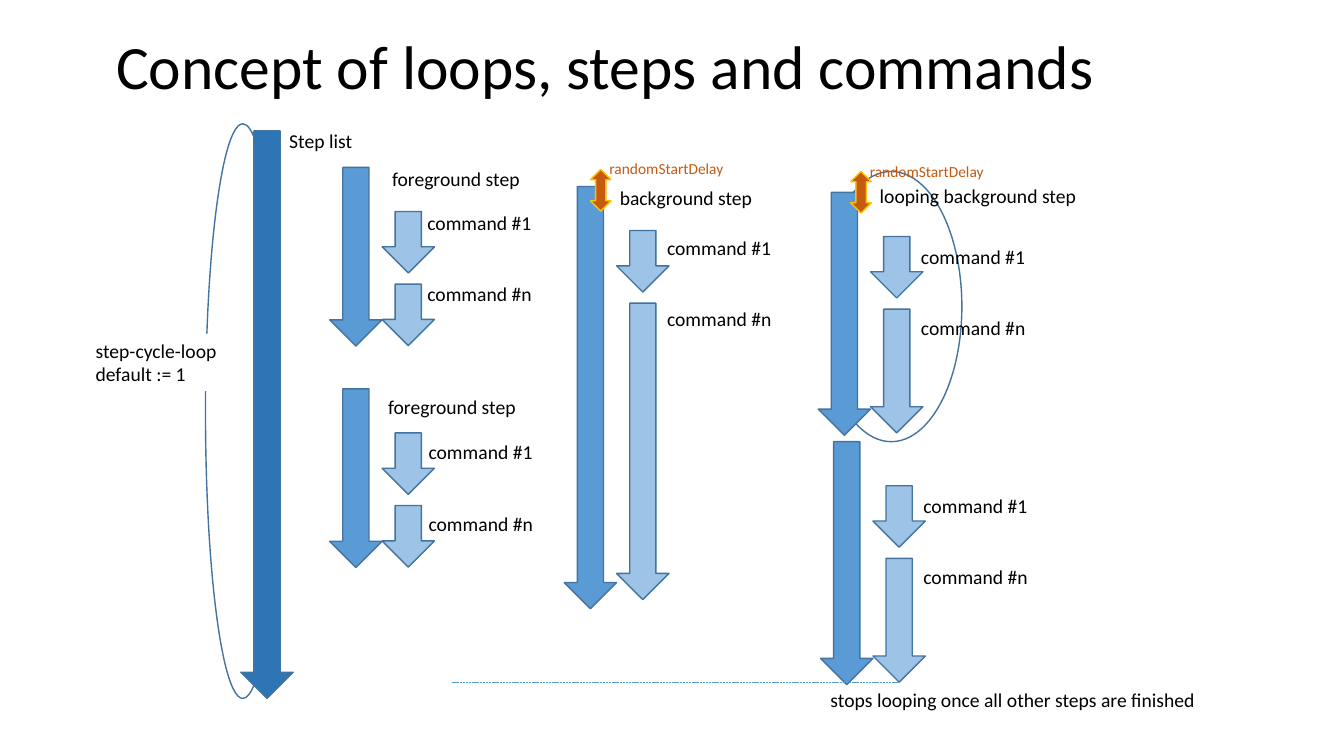
from lxml import etree
from pptx import Presentation
from pptx import util as u
from pptx.dml.color import RGBColor
from pptx.enum import dml, shapes, text
from pptx.oxml import ns

FONT = "Calibri"
BLACK, WHITE = "000000", "FFFFFF"
DARK, BLUE, PALE, EDGE = "2E75B6", "5B9BD5", "9DC3E6", "43739E"
RUST, GOLD = "C55A11", "FFC000"
WIDE = 1.32  # arrow width in cm
KIND = shapes.MSO_SHAPE


def color(code):
    return RGBColor.from_string(code)


def box(x, y, w, h):
    return u.Cm(x), u.Cm(y), u.Cm(w), u.Cm(h)


def style(frame, size, ink):
    for para in frame.paragraphs:
        para.alignment = text.PP_ALIGN.LEFT
        for run in para.runs:
            run.font.name = FONT
            run.font.size = u.Pt(size)
            run.font.color.rgb = color(ink)


def shape(slide, kind, place, fill=None, edge=EDGE):
    item = slide.shapes.add_shape(kind, *box(*place))
    item.shadow.inherit = False
    if fill:
        item.fill.solid()
        item.fill.fore_color.rgb = color(fill)
    else:
        item.fill.background()
    item.line.color.rgb = color(edge)
    item.line.width = u.Pt(1)
    return item


def arrow(slide, x, y, h, fill):
    shape(slide, KIND.DOWN_ARROW, (x, y, WIDE, h), fill)


def loop(slide, place, start, end, turn=0):
    """Draw an open arc; its straight side lies behind an arrow."""
    arc = shape(slide, KIND.CHORD, place)
    arc.adjustments[0] = start
    arc.adjustments[1] = end
    arc.rotation = turn


def label(slide, words, x, y, w, h=0.86, size=14, ink=BLACK, wrap=False):
    item = slide.shapes.add_textbox(*box(x, y, w, h))
    frame = item.text_frame
    frame.text = words
    frame.word_wrap = wrap
    frame.auto_size = text.MSO_AUTO_SIZE.SHAPE_TO_FIT_TEXT
    style(frame, size, ink)
    return item


def step(slide, x, y, high, last, dx, dy):
    """Draw a step with its two commands; dx and dy place the command labels."""
    arrow(slide, x, y, high, BLUE)
    rows = (("command #1", 1.11, 1.55, 0), ("command #n", 2.94, last, 1.8))
    for words, drop, h, gap in rows:
        arrow(slide, x + WIDE, y + drop, h, PALE)
        label(slide, words, x + dx, y + dy + gap, 3.16)


def delay(slide, x, y, top):
    shape(slide, KIND.UP_DOWN_ARROW, (x, y, 0.52, 1.05), RUST, GOLD)
    label(slide, "randomStartDelay", x + 0.23, top, 3.4, 0.73, 11, RUST)


def rule(slide, left, right, y):
    line = slide.shapes.add_connector(
        shapes.MSO_CONNECTOR.STRAIGHT, u.Cm(left), u.Cm(y), u.Cm(right), u.Cm(y))
    line.line.color.rgb = color(BLUE)
    line.line.width = u.Pt(0.5)
    line.line.dash_style = dml.MSO_LINE.SQUARE_DOT
    props = line._element.find(ns.qn("p:spPr"))
    etree.SubElement(props, ns.qn("a:effectLst"))


def title(slide, words):
    item = slide.shapes.title
    item.left, item.top, item.width, item.height = box(2.67, 0.69, 29.21, 2.11)
    frame = item.text_frame
    frame.text = words
    frame.auto_size = text.MSO_AUTO_SIZE.NONE
    frame.vertical_anchor = text.MSO_ANCHOR.MIDDLE
    frame.paragraphs[0].line_spacing = 0.9
    style(frame, 44, BLACK)


def main():
    deck = Presentation()
    deck.slide_width, deck.slide_height = u.Cm(33.87), u.Cm(19.05)
    slide = deck.slides.add_slide(deck.slide_layouts[5])
    title(slide, "Concept of loops, steps and commands")

    loop(slide, (5.18, 3.12, 1.88, 14.48), 52.55, 163.84)
    arrow(slide, 6.07, 3.3, 14.3, DARK)
    label(slide, "Step list", 7.04, 3.12, 2.24)
    cycle = label(slide, "step-cycle-loop\vdefault := 1", 2.16, 8.41, 4.09, 1.45, wrap=True)
    cycle.fill.solid()
    cycle.fill.fore_color.rgb = color(WHITE)

    loop(slide, (20.68, 4.32, 3.56, 6.81), 35.39, 179.36, 180)
    for spot in (
        (8.31, 4.22, 4.5, 1.55, 2.21, 0.97),
        (8.31, 9.8, 4.5, 1.55, 2.24, 1.17),
        (14.22, 4.7, 10.64, 7.47, 2.34, 1.12),
        (20.62, 4.85, 6.12, 3.12, 2.34, 1.19),
        (20.68, 11.13, 6.12, 3.12, 2.34, 1.19),
    ):
        step(slide, *spot)

    for words, x, y, w in (
        ("foreground step", 9.63, 4.09, 3.89),
        ("foreground step", 9.53, 9.83, 3.89),
        ("background step", 15.37, 4.57, 3.89),
        ("looping background step", 21.92, 4.5, 5.61),
    ):
        label(slide, words, x, y, w)

    delay(slide, 14.88, 4.27, 3.89)
    delay(slide, 21.44, 4.32, 3.96)
    rule(slide, 11.38, 22.66, 17.2)
    label(slide, "stops looping once all other steps are finished", 20.68, 17.2, 9.83)
    deck.save("out.pptx")


if __name__ == "__main__":
    main()
